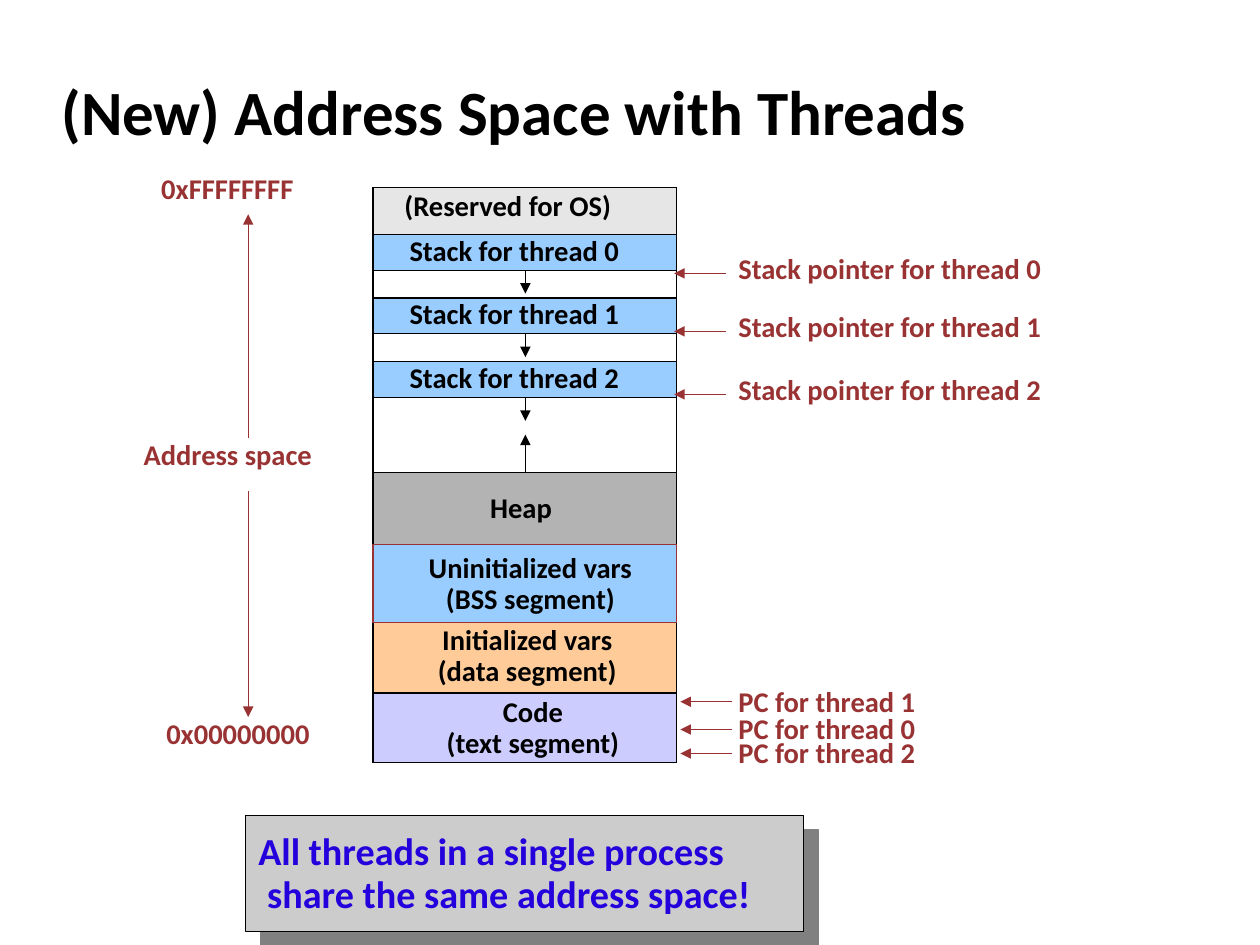
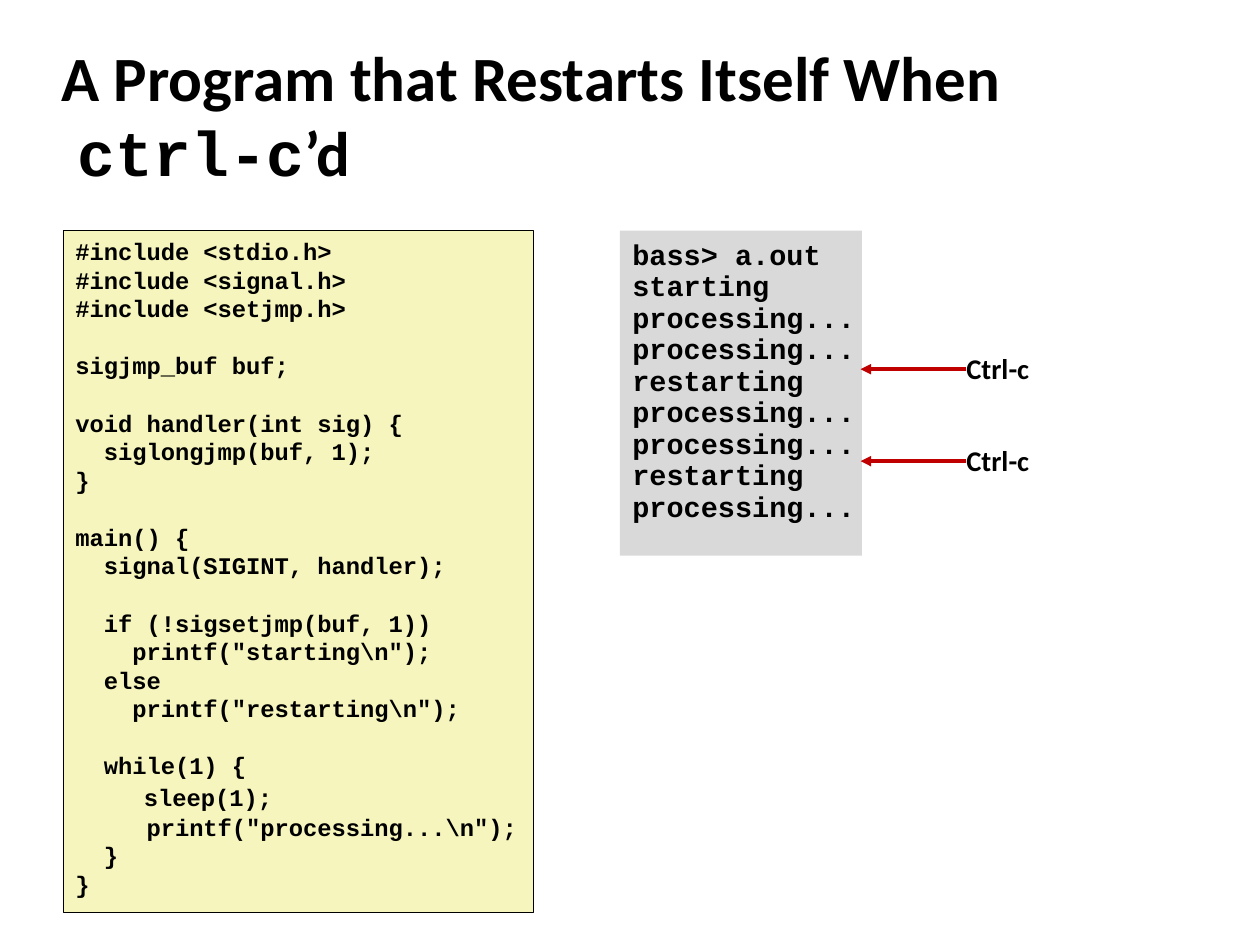
import pptx
import pptx.util
import pptx.dml.color
import pptx.enum.shapes
import pptx.enum.text
import pptx.oxml
import pptx.oxml.ns

Inches = pptx.util.Inches
Pt = pptx.util.Pt
RGBColor = pptx.dml.color.RGBColor
Shape = pptx.enum.shapes.MSO_SHAPE
Anchor = pptx.enum.text.MSO_ANCHOR
Align = pptx.enum.text.PP_ALIGN

BLACK = RGBColor(0x00, 0x00, 0x00)
MAROON = RGBColor(0x99, 0x33, 0x33)
RED = RGBColor(0xC0, 0x00, 0x00)
BLUE = RGBColor(0x23, 0x00, 0xDC)
SKY = RGBColor(0x99, 0xCC, 0xFF)
LILAC = RGBColor(0xCC, 0xCC, 0xFF)
PEACH = RGBColor(0xFF, 0xCC, 0x99)
CREAM = RGBColor(0xF6, 0xF5, 0xBD)
PALE_GREY = RGBColor(0xE6, 0xE6, 0xE6)
HEAP_GREY = RGBColor(0xB3, 0xB3, 0xB3)
CALLOUT_GREY = RGBColor(0xCC, 0xCC, 0xCC)
TERMINAL_GREY = RGBColor(0xD9, 0xD9, 0xD9)

SANS = "Calibri"
MONO = "Courier New"
BODY = 16.3
CODE = 13.6
MONO_LEADING = 1.2

CODE_LINES = r'''#include <stdio.h>
#include <signal.h>
#include <setjmp.h>

sigjmp_buf buf;

void handler(int sig) {
  siglongjmp(buf, 1);
}

main() {
  signal(SIGINT, handler);

  if (!sigsetjmp(buf, 1))
    printf("starting\n");
  else
    printf("restarting\n");

  while(1) {
    sleep(1);
     printf("processing...\n");
  }
}'''.split("\n")

TERMINAL_LINES = ["bass> a.out", "starting"] + [
    "processing...", "processing...", "restarting"] * 2 + ["processing..."]


class Deck:
    def __init__(self):
        self.deck = pptx.Presentation()
        self.deck.slide_width = Inches(10)
        self.deck.slide_height = Inches(7.5)
        self.page = None

    def add_page(self):
        self.page = self.deck.slides.add_slide(self.deck.slide_layouts[6])

    def style(self, font, name=SANS, size=BODY, color=BLACK):
        font.name = name
        font.size = Pt(size)
        font.bold = True
        font.color.rgb = color

    def hang(self, para, indent):
        properties = para._p.get_or_add_pPr()
        properties.set("marL", str(Inches(indent)))
        properties.set("indent", str(-Inches(indent)))

    def frame(self, box, inset_x=0, inset_y=0):
        frame = box.text_frame
        frame.word_wrap = True
        frame.margin_left = frame.margin_right = Inches(inset_x)
        frame.margin_top = frame.margin_bottom = Inches(inset_y)
        frame.vertical_anchor = Anchor.TOP
        return frame

    def textbox(self, left, top, width, height):
        return self.page.shapes.add_textbox(
            Inches(left), Inches(top), Inches(width), Inches(height))

    def title(self, spans, spacing=None):
        frame = self.frame(self.textbox(0.39, 0.49, 8.3, 0.83), 0.1, 0.05)
        frame.vertical_anchor = Anchor.MIDDLE
        para = frame.paragraphs[0]
        self.hang(para, 0.13)
        para.line_spacing = spacing
        for text, name in spans:
            span = para.add_run()
            span.text = text
            self.style(span.font, name, 36)

    def label(self, left, top, width, lines, color=BLACK, size=BODY, align=Align.LEFT):
        frame = self.frame(self.textbox(left, top, width, 0.27 * len(lines)))
        for index, text in enumerate(lines):
            para = frame.add_paragraph() if index else frame.paragraphs[0]
            para.text = text
            para.alignment = align
            para.line_spacing = 0.9 if index else 0.93
            self.style(para.font, SANS, size, color)
        return frame

    def panel(self, left, top, width, height, fill=None, line=BLACK,
              weight=0.75, kind=Shape.ROUNDED_RECTANGLE):
        box = self.page.shapes.add_shape(
            kind, Inches(left), Inches(top), Inches(width), Inches(height))
        box.shadow.inherit = False
        if kind == Shape.ROUNDED_RECTANGLE:
            box.adjustments[0] = 0
        if fill is None:
            box.fill.background()
        else:
            box.fill.solid()
            box.fill.fore_color.rgb = fill
        if line is None:
            box.line.fill.background()
        else:
            box.line.color.rgb = line
            box.line.width = Pt(weight)
        return box

    def drop_shadow(self, box):
        effects = box._element.spPr.find(pptx.oxml.ns.qn("a:effectLst"))
        effects.append(pptx.oxml.parse_xml(
            f'<a:outerShdw {pptx.oxml.ns.nsdecls("a")} dist="{Pt(12)}" dir="2700000"'
            ' algn="ctr" rotWithShape="0"><a:srgbClr val="808080"/></a:outerShdw>'))

    def arrow(self, start_x, start_y, end_x, end_y, color=BLACK, weight=0.75):
        line = self.page.shapes.add_connector(
            pptx.enum.shapes.MSO_CONNECTOR.STRAIGHT,
            Inches(start_x), Inches(start_y), Inches(end_x), Inches(end_y))
        line.line.color.rgb = color
        line.line.width = Pt(weight)
        namespace = pptx.oxml.ns.nsdecls("a")
        line.line._get_or_add_ln().append(
            pptx.oxml.parse_xml(f'<a:tailEnd {namespace} type="triangle"/>'))
        line._element.spPr.append(pptx.oxml.parse_xml(f"<a:effectLst {namespace}/>"))

    def code(self, box, lines, size):
        frame = self.frame(box, 0.1, 0.05)
        frame.margin_right = 0
        leading = size * MONO_LEADING
        gap = 0
        first = True
        for text in lines:
            if not text:
                gap = leading
                continue
            para = frame.paragraphs[0] if first else frame.add_paragraph()
            first = False
            para.line_spacing = Pt(leading)
            if gap:
                para.space_before = Pt(gap)
                gap = 0
            if text.strip() == "sleep(1);":
                para.space_before = Pt(2.5)
                for part, part_size in (("    ", BODY), (text.strip(), size)):
                    span = para.add_run()
                    span.text = part
                    self.style(span.font, MONO, part_size)
            else:
                para.text = text
                self.style(para.font, MONO, size)


def address_space_page(deck):
    deck.add_page()
    deck.title([("(New) Address Space with Threads", SANS)], 0.93)

    left, width, middle = 2.96, 2.41, 4.17
    stack_tops = [1.86 + 0.505 * thread for thread in range(3)]
    for top in stack_tops:
        deck.arrow(middle, top + 0.24, middle, top + 0.47)
    deck.arrow(middle, 3.76, middle, 3.45)

    deck.panel(left, 1.49, width, 4.56)
    bands = [(1.49, 0.37, PALE_GREY, BLACK), (5.5, 0.55, LILAC, BLACK),
             (4.94, 0.56, PEACH, BLACK), (3.75, 0.58, HEAP_GREY, BLACK),
             (4.32, 0.62, SKY, MAROON)]
    bands += [(top, 0.285, SKY, BLACK) for top in stack_tops]
    for top, height, fill, line in bands:
        deck.panel(left, top, width, height, fill, line)

    deck.label(3.21, 1.52, 1.9, ["(Reserved for OS)"])
    for thread, top in enumerate(stack_tops):
        deck.label(3.25, top + 0.01, 1.92, [f"Stack for thread {thread}"])
    deck.label(3.89, 3.91, 0.58, ["Heap"])
    for x, top, span, lines in [
            (3.25, 4.39, 1.92, ["Uninitialized vars", "(BSS segment)"]),
            (3.37, 4.96, 1.63, ["Initialized vars", "(data segment)"]),
            (3.44, 5.53, 1.58, ["Code", "(text segment)"])]:
        deck.label(x, top, span, lines, align=Align.CENTER)

    for x, top, text in [(1.28, 1.38, "0xFFFFFFFF"), (1.14, 3.49, "Address space"),
                         (1.32, 5.71, "0x00000000")]:
        deck.label(x, top, 1.6, [text], MAROON)
    deck.arrow(1.97, 3.48, 1.97, 1.7, MAROON)
    deck.arrow(1.97, 3.9, 1.97, 5.69, MAROON)

    for thread, top in enumerate([2.02, 2.48, 2.98]):
        deck.label(5.86, top, 2.76, [f"Stack pointer for thread {thread}"], MAROON)
        deck.arrow(5.76, top + 0.15, 5.35, top + 0.15, MAROON)
    for thread, top in [(1, 5.45), (0, 5.67), (2, 5.86)]:
        deck.label(5.86, top, 1.85, [f"PC for thread {thread}"], MAROON)
        deck.arrow(5.81, top + 0.12, 5.4, top + 0.12, MAROON)

    deck.drop_shadow(deck.panel(1.95, 6.47, 4.43, 0.92, CALLOUT_GREY))
    callout = deck.label(
        2.05, 6.6, 5.95,
        ["All threads in a single process\vshare the same address space!"], BLUE, 21.8)
    deck.hang(callout.paragraphs[0], 0.07)


def restart_page(deck):
    deck.add_page()
    deck.title([("A Program that Restarts Itself When ", SANS),
                ("ctrl-c", MONO), ("’d", SANS)])

    deck.panel(4.92, 1.83, 1.92, 2.58, TERMINAL_GREY, None, kind=Shape.RECTANGLE)
    listing = deck.panel(0.5, 1.83, 3.73, 5.41, CREAM, BLACK, 0.25, Shape.RECTANGLE)
    deck.code(listing, CODE_LINES, CODE)
    for para in listing.text_frame.paragraphs:
        para.alignment = Align.LEFT

    for row, text in enumerate(TERMINAL_LINES):
        deck.code(deck.textbox(4.92, 1.83 + 0.25 * row, 2, 0.38), [text], BODY)
    for y in (2.93, 3.66):
        deck.label(7.67, y - 0.12, 0.7, ["Ctrl-c"])
        deck.arrow(7.67, y, 6.83, y, RED, 2)


def main():
    deck = Deck()
    address_space_page(deck)
    restart_page(deck)
    deck.deck.save("out.pptx")


if __name__ == "__main__":
    main()
